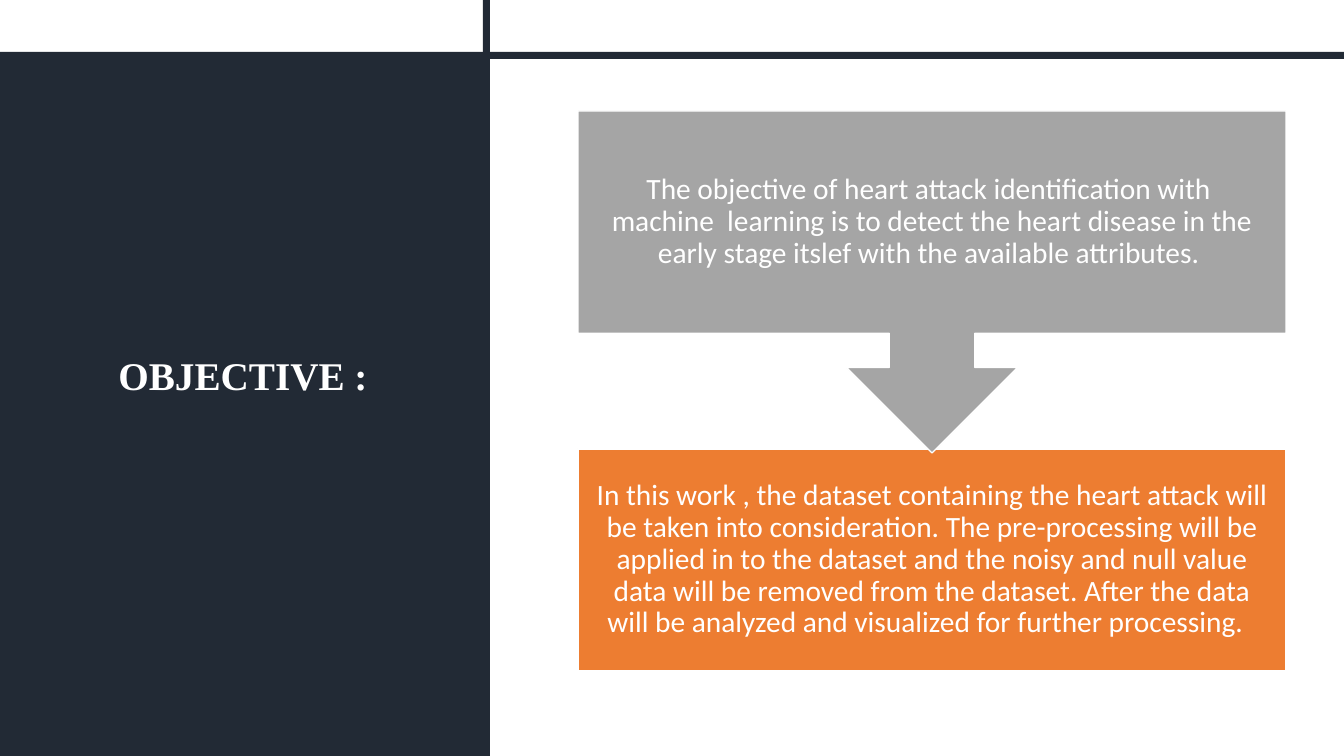
from pptx import Presentation
from pptx import util as u
from pptx.dml.color import RGBColor
from pptx.enum import shapes, text

PX = 12192000 / 1344
NAVY, GRAY, ORANGE, WHITE = "222A35", "A5A5A5", "ED7D31", "FFFFFF"


def px(*lengths):
    return [u.Emu(round(length * PX)) for length in lengths]


def color(value):
    return RGBColor.from_string(value)


deck = Presentation()
deck.slide_width, deck.slide_height = px(1344, 756)
slide = deck.slides.add_slide(deck.slide_layouts[6])

blocks = [
    (shapes.MSO_SHAPE.RECTANGLE, (0, 58, 490, 698), NAVY, 0, False),
    (shapes.MSO_SHAPE.RECTANGLE, (483, 0, 7, 756), NAVY, 0, False),
    (shapes.MSO_SHAPE.RECTANGLE, (0, 52, 1344, 7), NAVY, 0, False),
    (shapes.MSO_SHAPE.RECTANGLE, (578, 449, 708, 222), ORANGE, 0, True),
    (shapes.MSO_SHAPE.UP_ARROW_CALLOUT, (578, 111, 708, 342), GRAY, 180, True),
]
for preset, box, fill, rotation, outlined in blocks:
    block = slide.shapes.add_shape(preset, *px(*box))
    block.shadow.inherit = False
    block.rotation = rotation
    block.fill.solid()
    block.fill.fore_color.rgb = color(fill)
    if outlined:
        block.line.color.rgb = color(WHITE)
        block.line.width = u.Pt(1)
    else:
        block.line.fill.background()

goal = (
    "The objective of heart attack identification with  machine  learning is to "
    "detect the heart disease in the early stage itslef with the available attributes. "
)
method = (
    "In this work , the dataset containing the heart attack will be taken into "
    "consideration. The pre-processing will be applied in to the dataset and the noisy "
    "and null value data will be removed from the dataset. After the data will be "
    "analyzed and visualized for further processing.  "
)
captions = [
    ("OBJECTIVE :", (66, 85, 354, 586), 10, "Times New Roman", 28, True),
    (goal, (578, 111, 708, 222), 16, "Calibri", 21, False),
    (method, (578, 449, 708, 222), 16, "Calibri", 21, False),
]
for wording, box, inset, font_name, size, bold in captions:
    frame = slide.shapes.add_textbox(*px(*box)).text_frame
    frame.word_wrap = True
    frame.vertical_anchor = text.MSO_ANCHOR.MIDDLE
    frame.margin_left, frame.margin_right = px(inset, inset)
    frame.margin_top, frame.margin_bottom = px(inset, inset)
    paragraph = frame.paragraphs[0]
    paragraph.text = wording
    paragraph.alignment = text.PP_ALIGN.CENTER
    paragraph.line_spacing = 0.9
    paragraph.font.name = font_name
    paragraph.font.size = u.Pt(size)
    paragraph.font.bold = bold
    paragraph.font.color.rgb = color(WHITE)

deck.save("out.pptx")
